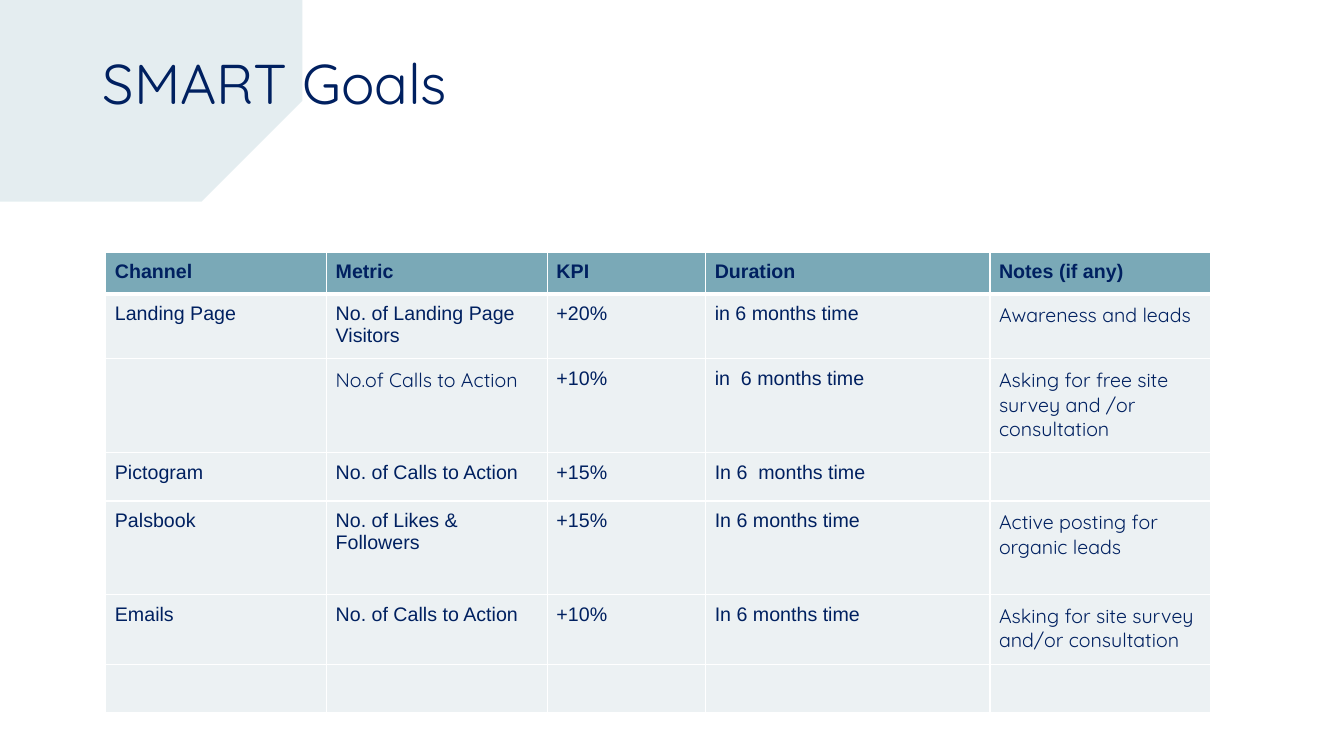
from lxml import etree
from pptx import Presentation
from pptx import util as u
from pptx.dml.color import RGBColor
from pptx.enum import text
from pptx.oxml import ns

NAVY, TEAL, PALE, WHITE = "002060", "7AA9B7", "ECF1F3", "FFFFFF"
SANS, ROUND = "Arial", "Quicksand"
LEFT, TOP = 1.05, 2.5
COLS = [2.19, 2.19, 1.57, 2.82, 2.19]
ROWS = [0.41, 0.64, 0.93, 0.48, 0.93, 0.69, 0.48]
GOALS = [
    ["Channel", "Metric", "KPI", "Duration", "Notes (if any)"],
    ["Landing Page", "No. of Landing Page Visitors", "+20%",
     "in 6 months time", "Awareness and leads"],
    ["", "No.of Calls to Action", "+10%", "in  6 months time",
     "Asking for free site survey and /or consultation"],
    ["Pictogram", "No. of Calls to Action", "+15%", "In 6  months time", ""],
    ["Palsbook", "No. of Likes & Followers", "+15%", "In 6 months time",
     "Active posting for organic leads"],
    ["Emails", "No. of Calls to Action", "+10%", "In 6 months time",
     "Asking for site survey and/or consultation"],
    [""] * 5,
]
BRUSH = [
    (0, 0.34), (0.06, 0.35), (0.25, 0.37), (0.66, 0.38), (1.02, 0.37),
    (1.51, 0.38), (1.94, 0.41), (2.48, 0.41), (2.7, 0.41), (2.8, 0.47),
    (2.71, 0.49), (2.55, 0.54), (2.53, 0.57), (2.56, 0.59), (2.62, 0.62),
    (2.5, 0.62), (2.38, 0.66), (2.46, 0.68), (2.56, 0.7), (2.66, 0.71),
    (2.75, 0.74), (2.51, 0.75), (2.63, 0.78), (2.73, 0.81), (2.8, 0.82),
    (2.88, 0.83), (2.9, 0.85), (2.87, 0.88), (2.63, 0.88), (2.96, 0.92),
    (3.3, 0.94), (3.21, 0.97), (3.18, 1.06), (3.07, 1.11), (3, 1.13),
    (2.83, 1.16), (2.8, 1.2), (2.78, 1.25), (2.74, 1.28), (3.08, 1.28),
    (2.69, 1.38), (2.73, 1.42), (2.52, 1.48), (2.63, 1.48), (2.33, 1.6),
    (1.97, 1.72), (1.02, 1.88), (0.65, 1.91), (0.23, 1.9), (0.07, 1.89),
    (0, 1.88),
]


def paint(fill, tone):
    fill.solid()
    fill.fore_color.rgb = RGBColor.from_string(tone)


def style(para, face, size, bold=False):
    font = para.font
    font.name, font.size, font.bold = face, u.Pt(size), bold
    font.color.rgb = RGBColor.from_string(NAVY)


def add_brush(slide):
    pen = slide.shapes.build_freeform(*BRUSH[0], scale=u.Inches(1))
    pen.add_line_segments(BRUSH[1:], close=True)
    shape = pen.convert_to_shape()
    shape.shadow.inherit = False
    shape.line.fill.background()
    paint(shape.fill, TEAL)
    tone = shape.fill._xPr.find(".//" + ns.qn("a:srgbClr"))
    etree.SubElement(tone, ns.qn("a:alpha"), val="20000")


def add_title(slide, words):
    box = slide.shapes.add_textbox(
        u.Inches(0.92), u.Inches(0.49), u.Inches(11.5), u.Inches(0.74))
    frame = box.text_frame
    frame.word_wrap = True
    frame.vertical_anchor = text.MSO_ANCHOR.MIDDLE
    para = frame.paragraphs[0]
    para.text, para.line_spacing = words, 0.9
    style(para, ROUND, 40)


def edge(cell, row):
    props = cell._tc.get_or_add_tcPr()
    widths = {"L": 1, "R": 1, "T": 3 if row == 1 else 1, "B": 3 if row == 0 else 1}
    for i, (side, width) in enumerate(widths.items()):
        line = etree.Element(ns.qn("a:ln" + side), w=str(u.Pt(width)))
        fill = etree.SubElement(line, ns.qn("a:solidFill"))
        etree.SubElement(fill, ns.qn("a:srgbClr"), val=WHITE)
        props.insert(i, line)


def fill_cell(cell, words, row, col):
    cell.margin_left = cell.margin_right = u.Inches(0.09)
    cell.margin_top = cell.margin_bottom = u.Inches(0.09)
    paint(cell.fill, PALE if row else TEAL)
    edge(cell, row)
    para = cell.text_frame.paragraphs[0]
    if words:
        para.text = words
    soft = row and col == 4 or (row, col) == (2, 1)
    style(para, ROUND if soft else SANS, 14, row == 0)


def add_goals(slide):
    table = slide.shapes.add_table(
        len(ROWS), len(COLS), u.Inches(LEFT), u.Inches(TOP),
        u.Inches(sum(COLS)), u.Inches(sum(ROWS))).table
    for col, width in zip(table.columns, COLS):
        col.width = u.Inches(width)
    for row, height in zip(table.rows, ROWS):
        row.height = u.Inches(height)
    for r, line in enumerate(GOALS):
        for c, words in enumerate(line):
            fill_cell(table.cell(r, c), words, r, c)


def main():
    deck = Presentation()
    deck.slide_width, deck.slide_height = u.Inches(13.33), u.Inches(7.5)
    slide = deck.slides.add_slide(deck.slide_layouts[6])
    add_brush(slide)
    add_title(slide, "SMART Goals")
    add_goals(slide)
    deck.save("out.pptx")


if __name__ == "__main__":
    main()
